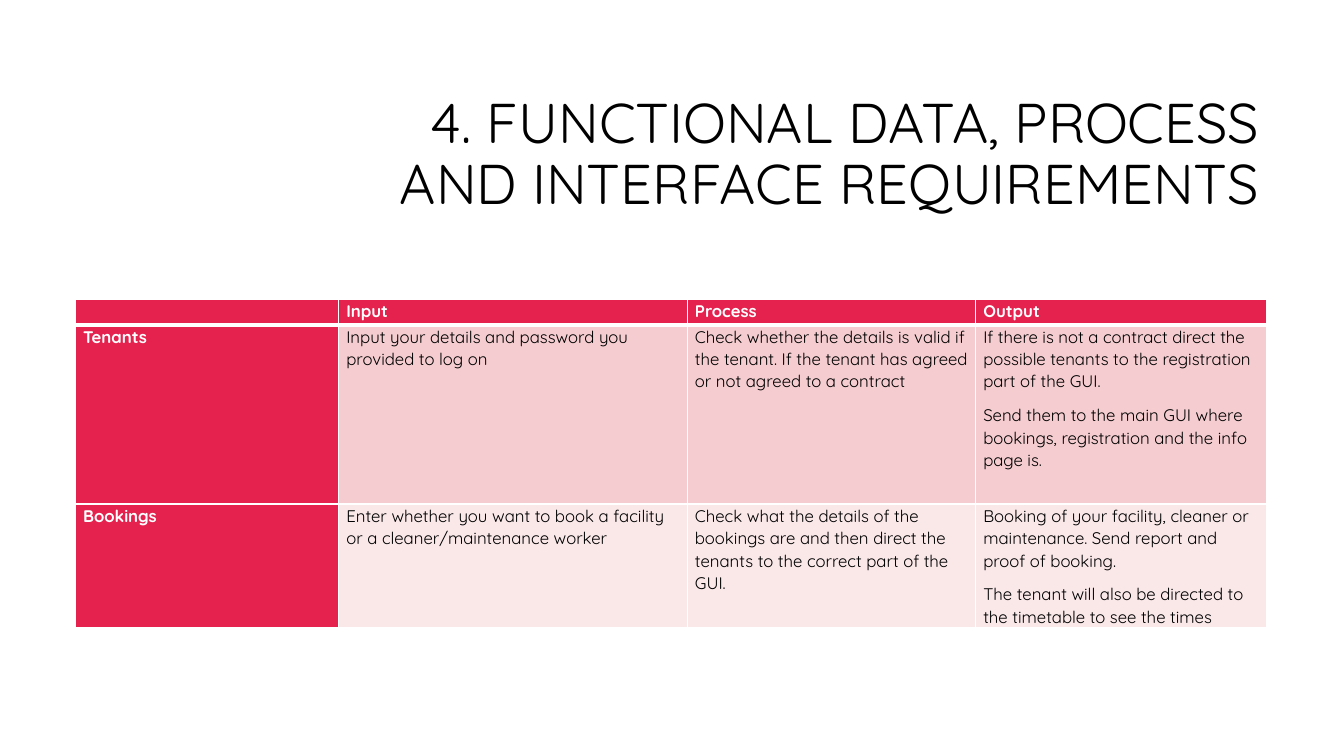
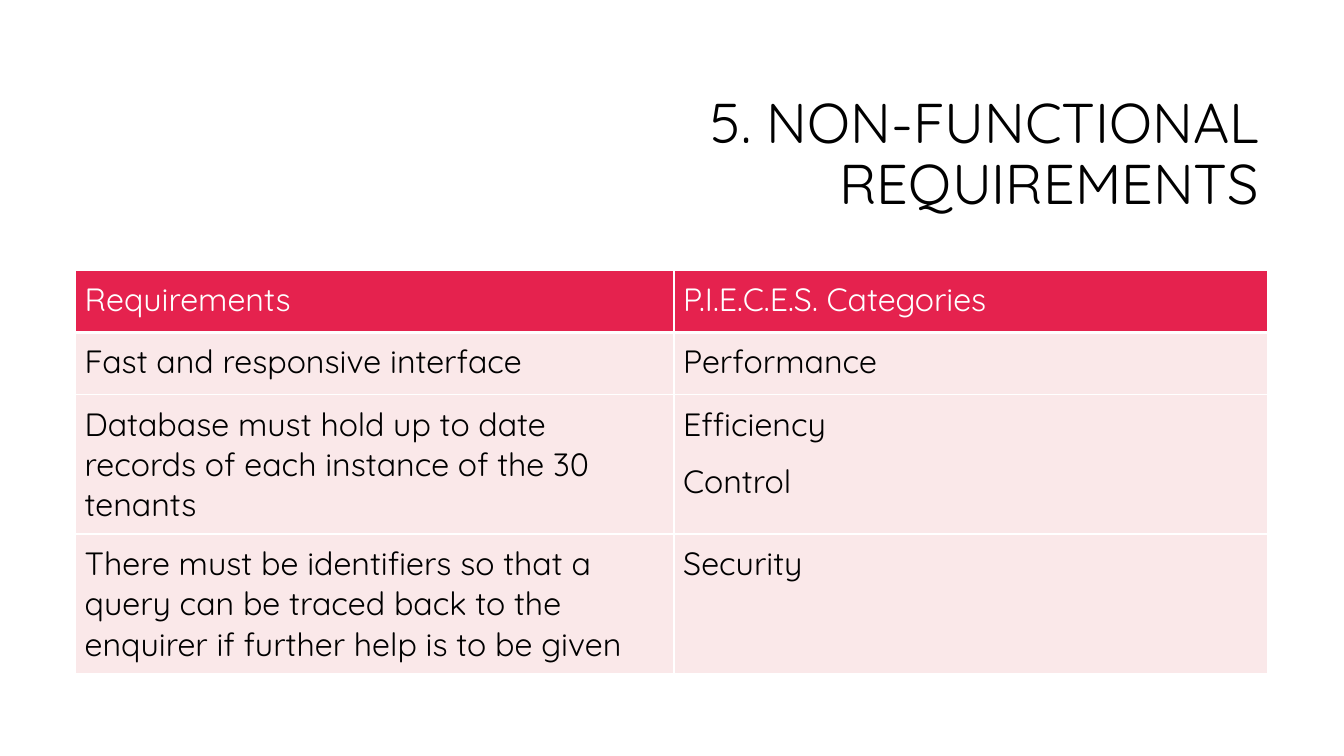
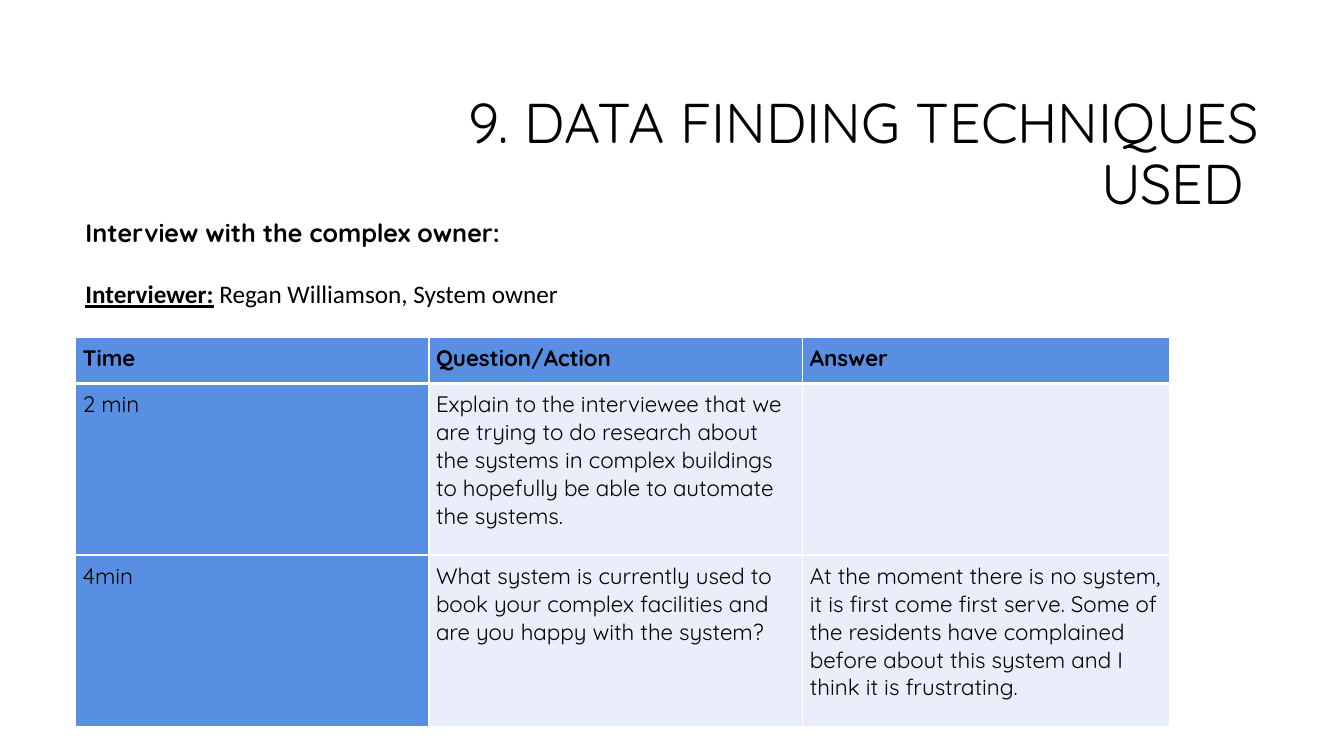
"""Build three requirement slides with a shared title and table style."""
from dataclasses import dataclass

from lxml.etree import SubElement
from pptx import Presentation
from pptx.dml.color import RGBColor
from pptx.enum.text import MSO_ANCHOR, PP_ALIGN
from pptx.oxml.ns import qn
from pptx.util import Pt

BLACK = RGBColor(0x00, 0x00, 0x00)
WHITE = RGBColor(0xFF, 0xFF, 0xFF)
RED = RGBColor(0xE5, 0x22, 0x4E)
PINK = RGBColor(0xF5, 0xCD, 0xD0)
PALE_PINK = RGBColor(0xFA, 0xE8, 0xE9)
BLUE = RGBColor(0x58, 0x8F, 0xE2)
PALE_BLUE = RGBColor(0xEA, 0xEE, 0xFA)
FONT = "Quicksand"
LEFT = 54


@dataclass
class TableStyle:
    accent: RGBColor
    bands: tuple
    accent_text: RGBColor
    size: float
    margin_x: float
    margin_y: float
    gap: float
    line_spacing: float = 1.0
    head_bold: bool = True
    side_filled: bool = True
    side_bold: bool = False


FUNCTIONAL = TableStyle(RED, (PINK, PALE_PINK), WHITE, 12, 5.4, 0, 8,
                        line_spacing=1.07, side_bold=True)
NON_FUNCTIONAL = TableStyle(RED, (PALE_PINK,), WHITE, 23, 6.5, 6.5, 12,
                            head_bold=False, side_filled=False)
INTERVIEW = TableStyle(BLUE, (PALE_BLUE,), BLACK, 16, 5, 5, 12)


def style_run(r, size, color=BLACK, bold=False, font=FONT):
    r.font.name = font
    r.font.size = Pt(size)
    r.font.bold = bold
    r.font.color.rgb = color


def add_title(s, text):
    tf = s.shapes.add_textbox(Pt(228.25), Pt(60.5), Pt(678.25), Pt(101.5)).text_frame
    tf.word_wrap = True
    tf.vertical_anchor = MSO_ANCHOR.MIDDLE
    tf.text = text
    p = tf.paragraphs[0]
    p.alignment = PP_ALIGN.RIGHT
    p.line_spacing = 0.9
    style_run(p.runs[0], 40)


def add_interview_note(s):
    tf = s.shapes.add_textbox(Pt(LEFT), Pt(152), Pt(355), Pt(72.5)).text_frame
    tf.word_wrap = False
    tf.text = "Interview with the complex owner:"
    style_run(tf.paragraphs[0].runs[0], 18, bold=True)
    p = tf.add_paragraph()
    p.space_before = Pt(22)
    label, name = p.add_run(), p.add_run()
    label.text = "Interviewer:"
    name.text = " Regan Williamson, System owner"
    style_run(label, 18, bold=True, font="Calibri")
    style_run(name, 18, font="Calibri")
    label.font.underline = True


def set_borders(cell, row):
    tcPr = cell._tc.get_or_add_tcPr()
    widths = {"L": 1, "R": 1, "T": 3 if row == 1 else 1, "B": 3 if row == 0 else 1}
    for side, width in widths.items():
        ln = SubElement(tcPr, qn(f"a:ln{side}"), w=str(Pt(width)))
        fill = SubElement(ln, qn("a:solidFill"))
        SubElement(fill, qn("a:srgbClr"), val=str(WHITE))


def fill_cell(cell, text, row, col, style):
    head = row == 0
    side = col == 0 and style.side_filled and not head
    accented = head or side
    bold = style.head_bold if head else side and style.side_bold
    set_borders(cell, row)
    cell.fill.solid()
    band = style.bands[(row - 1) % len(style.bands)]
    cell.fill.fore_color.rgb = style.accent if accented else band
    cell.margin_left = cell.margin_right = Pt(style.margin_x)
    cell.margin_top = cell.margin_bottom = Pt(style.margin_y)
    cell.text_frame.text = text
    for i, p in enumerate(cell.text_frame.paragraphs):
        p.line_spacing = style.line_spacing
        if i:
            p.space_before = Pt(style.gap)
        for r in p.runs:
            style_run(r, style.size, style.accent_text if accented else BLACK, bold)
        if not p.runs:
            SubElement(p._p, qn("a:endParaRPr"), sz=str(style.size * 100))


def add_table(s, top, widths, heights, rows, style):
    table = s.shapes.add_table(len(heights), len(widths), Pt(LEFT), Pt(top),
                               Pt(sum(widths)), Pt(sum(heights))).table
    table.first_row = False
    table.horz_banding = False
    for column, width in zip(table.columns, widths):
        column.width = Pt(width)
    for row, height in zip(table.rows, heights):
        row.height = Pt(height)
    for i, texts in enumerate(rows):
        for j, text in enumerate(texts):
            fill_cell(table.cell(i, j), text, i, j, style)


def add_slide(prs, title):
    s = prs.slides.add_slide(prs.slide_layouts[6])
    add_title(s, title)
    return s


def main():
    prs = Presentation()
    prs.slide_width, prs.slide_height = Pt(960), Pt(540)

    s = add_slide(prs, "4. FUNCTIONAL DATA, PROCESS AND INTERFACE REQUIREMENTS")
    add_table(s, 214, (188, 249, 206, 208), (18, 128, 88.5), [
        ("", "Input", "Process", "Output"),
        ("Tenants",
         "Input your details and password you provided to log on",
         "Check whether the details is valid if the tenant. If the tenant has "
         "agreed or not agreed to a contract",
         "If there is not a contract direct the possible tenants to the "
         "registration part of the GUI.\n"
         "Send them to the main GUI where bookings, registration and the info page is."),
        ("Bookings",
         "Enter whether you want to book a facility or a cleaner/maintenance worker",
         "Check what the details of the bookings are and then direct the tenants "
         "to the correct part of the GUI.",
         "Booking of your facility, cleaner or maintenance. Send report and "
         "proof of booking.\n"
         "The tenant will also be directed to the timetable to see the times"),
    ], FUNCTIONAL)

    s = add_slide(prs, "5. NON-FUNCTIONAL REQUIREMENTS")
    add_table(s, 193, (427.5, 424), (44.5, 44.5, 99.5, 100), [
        ("Requirements", "P.I.E.C.E.S. Categories"),
        ("Fast and responsive interface", "Performance"),
        ("Database must hold up to date records of each instance of the 30 tenants",
         "Efficiency\nControl"),
        ("There must be identifiers so that a query can be traced back to the "
         "enquirer if further help is to be given", "Security"),
    ], NON_FUNCTIONAL)

    s = add_slide(prs, "9. DATA FINDING TECHNIQUES USED ")
    add_interview_note(s)
    add_table(s, 241, (252.5, 267, 262), (33, 122.5, 122.5), [
        ("Time", "Question/Action", "Answer"),
        ("2 min",
         "Explain to the interviewee that we are trying to do research about the "
         "systems in complex buildings to hopefully be able to automate the systems.",
         ""),
        ("4min",
         "What system is currently used to book your complex facilities and are "
         "you happy with the system?",
         "At the moment there is no system, it is first come first serve. Some of "
         "the residents have complained before about this system and I think it "
         "is frustrating."),
    ], INTERVIEW)

    prs.save("out.pptx")


if __name__ == "__main__":
    main()
